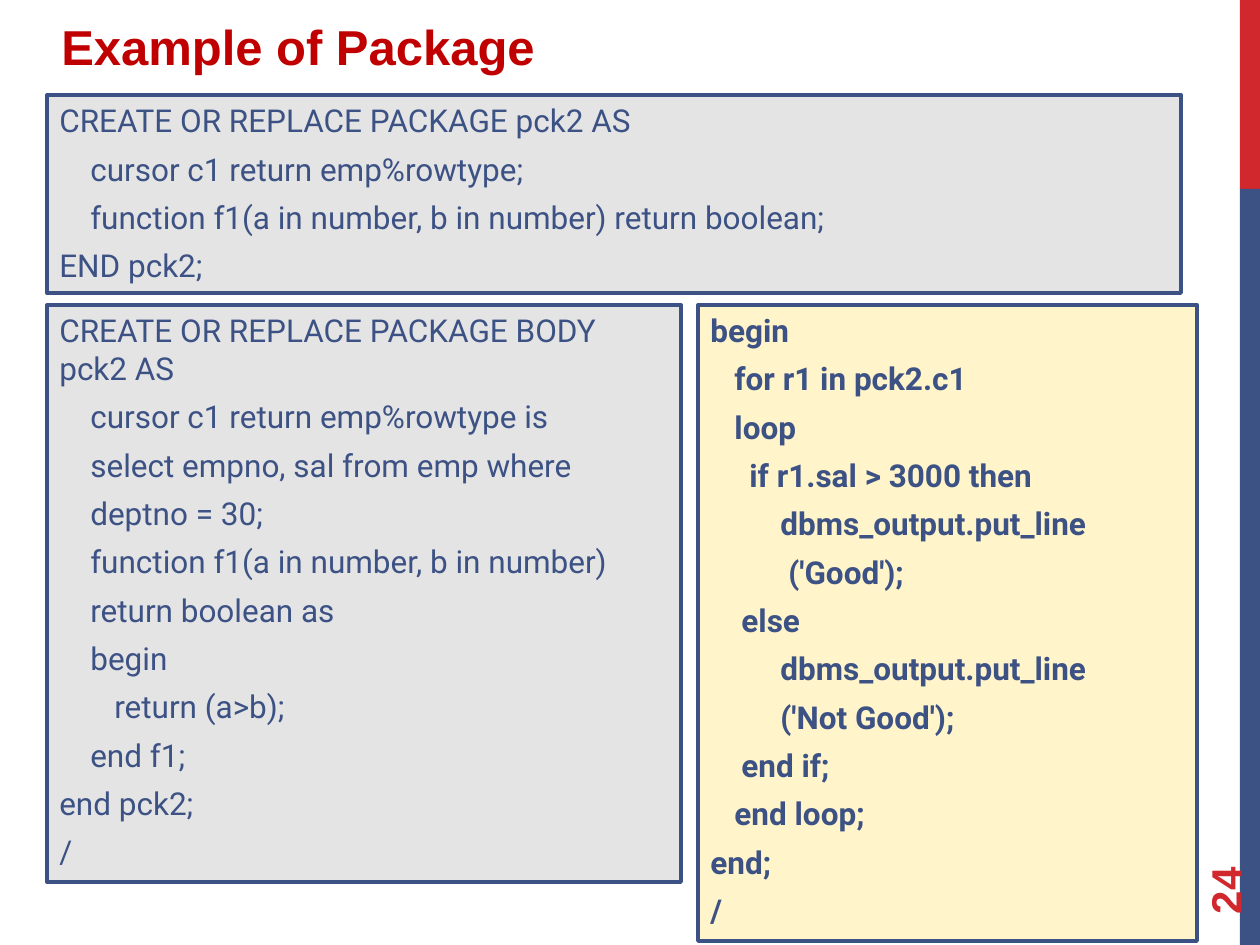
from dataclasses import dataclass
from pptx import Presentation
from pptx.dml.color import RGBColor as Rgb
from pptx.enum.shapes import MSO_SHAPE as Kind
from pptx.enum.text import MSO_ANCHOR as Anchor, MSO_AUTO_SIZE as Fit, PP_ALIGN as Align
from pptx.util import Pt

SCALE = 914400 // 126
WIDE, HIGH = 1260, 945


@dataclass(frozen=True)
class Theme:
    red: str = "D1282E"
    navy: str = "3C5184"
    title: str = "C00000"
    gray: str = "E4E4E4"
    cream: str = "FFF4CA"
    head: str = "Arial"
    code: str = "Roboto"
    big: int = 28
    page: int = 24
    body: int = 18


THEME = Theme()

SPEC = [
    (0, "CREATE OR REPLACE PACKAGE pck2 AS"),
    (31, "cursor c1 return emp%rowtype;"),
    (31, "function f1(a in number, b in number) return boolean;"),
    (0, "END pck2;"),
]
BODY = [
    (0, "CREATE OR REPLACE PACKAGE BODY pck2 AS"),
    (31, "cursor c1 return emp%rowtype is"),
    (31, "select empno, sal from emp where"),
    (31, "deptno = 30;"),
    (31, "function f1(a in number, b in number)"),
    (31, "return boolean as"),
    (31, "begin"),
    (55, "return (a>b);"),
    (31, "end f1;"),
    (0, "end pck2;"),
    (0, "/"),
]
USAGE = [
    (0, "begin"),
    (24, "for r1 in pck2.c1"),
    (24, "loop"),
    (39, "if r1.sal > 3000 then"),
    (70, "dbms_output.put_line"),
    (78, "('Good');"),
    (31, "else"),
    (70, "dbms_output.put_line"),
    (70, "('Not Good');"),
    (31, "end if;"),
    (24, "end loop;"),
    (0, "end;"),
    (0, "/"),
]


def emu(box):
    return [side * SCALE for side in box]


def block(slide, box, fill):
    shape = slide.shapes.add_shape(Kind.RECTANGLE, *emu(box))
    shape.shadow.inherit = False
    shape.fill.solid()
    shape.fill.fore_color.rgb = Rgb.from_string(fill)
    shape.line.fill.background()
    return shape


def write(para, text, font, size, color, bold):
    para.alignment = Align.LEFT
    run = para.add_run()
    run.text = text
    run.font.name = font
    run.font.size = Pt(size)
    run.font.bold = bold
    run.font.color.rgb = Rgb.from_string(color)


def label(slide, box, text, size, color):
    shape = slide.shapes.add_textbox(*emu(box))
    shape.text_frame.word_wrap = True
    write(shape.text_frame.paragraphs[0], text, THEME.head, size, color, True)
    return shape


def side(slide, box):
    left, top, width, height = box
    cut = height // 5
    block(slide, (left, top, width, cut), THEME.red)
    block(slide, (left, top + cut, width, height - cut), THEME.navy)
    page = label(slide, (left - 106, top + 811, 181, 50), "24", THEME.page, THEME.red)
    page.rotation = 270
    page.text_frame.vertical_anchor = Anchor.MIDDLE


def title(slide, box):
    shape = label(slide, box, "Example of Package", THEME.big, THEME.title)
    para = shape.text_frame.paragraphs[0]
    para.space_before, para.space_after = Pt(5.6), Pt(6)


def code(slide, box, lines, fill, bold=False):
    shape = block(slide, box, fill)
    shape.line.color.rgb = Rgb.from_string(THEME.navy)
    shape.line.width = Pt(2.25)
    frame = shape.text_frame
    frame.word_wrap = True
    frame.auto_size = Fit.SHAPE_TO_FIT_TEXT
    frame.vertical_anchor = Anchor.TOP
    for row, (indent, text) in enumerate(lines):
        para = frame.add_paragraph() if row else frame.paragraphs[0]
        para.space_before = Pt(6)
        write(para, text, THEME.code, THEME.body, THEME.navy, bold)
        para._p.get_or_add_pPr().set("marL", str(indent * SCALE))


def example(deck):
    slide = deck.slides.add_slide(deck.slide_layouts[6])
    side(slide, (1240, 0, 20, HIGH))
    title(slide, (49, 10, 859, 84))
    code(slide, (47, 95, 1134, 198), SPEC, THEME.gray)
    code(slide, (47, 305, 634, 577), BODY, THEME.gray)
    code(slide, (698, 305, 499, 636), USAGE, THEME.cream, True)


deck = Presentation()
deck.slide_width, deck.slide_height = emu((WIDE, HIGH))
example(deck)
deck.save("out.pptx")
